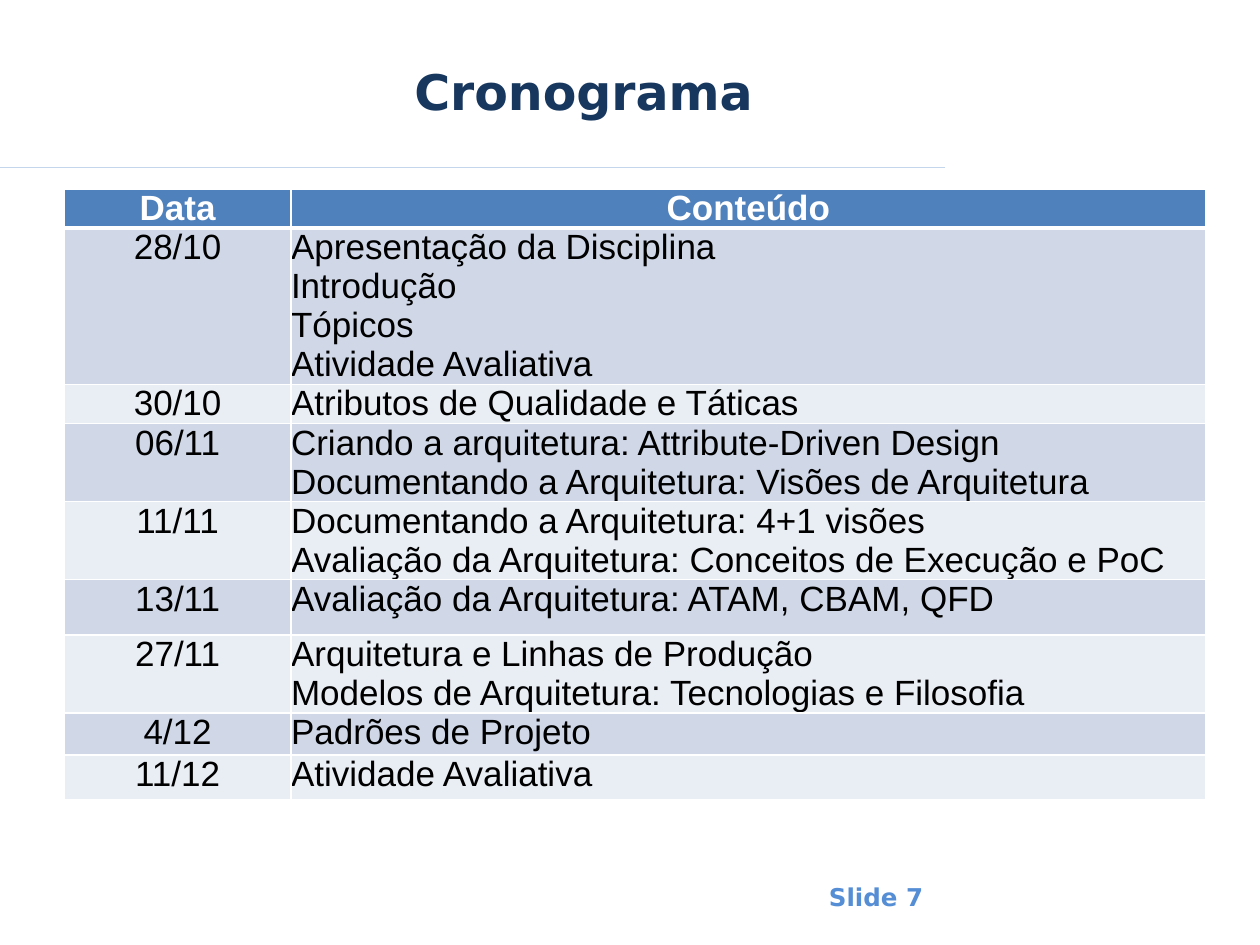
from typing import NamedTuple

from lxml.etree import SubElement as Sub
from pptx import Presentation
from pptx.dml.color import RGBColor as Rgb
from pptx.enum.shapes import MSO_CONNECTOR as Conn
from pptx.enum.text import MSO_ANCHOR as Anchor, PP_ALIGN as Align
from pptx.oxml import parse_xml
from pptx.oxml.ns import nsdecls, qn
from pptx.util import Inches, Pt

HEX = {"head": "4F81BD", "odd": "D0D8E8", "even": "E9EDF4", "white": "FFFFFF",
       "black": "000000", "title": "17375E", "page": "558ED5", "rule": "C4D6EB"}


class Label(NamedTuple):
    text: str
    box: tuple[float, float, float, float]
    size: int
    color: str


class Row(NamedTuple):
    date: str
    lines: list[str]
    high: float
    align: Align = Align.LEFT


LABELS = [
    Label("Slide 7", (6.48, 6.95, 1.41, 0.34), 14, "page"),
    Label("Cronograma", (3.19, 0.45, 6.69, 0.55), 28, "title"),
]
ROWS = [
    Row("Data", ["Conteúdo"], 0.22, Align.CENTER),
    Row("28/10", ["Apresentação da Disciplina", "Introdução", "Tópicos",
                  "Atividade Avaliativa"], 0.88, Align.JUSTIFY),
    Row("30/10", ["Atributos de Qualidade e Táticas"], 0.22, Align.JUSTIFY),
    Row("06/11", ["Criando a arquitetura: Attribute-Driven Design",
                  "Documentando a Arquitetura: Visões de Arquitetura"], 0.44),
    Row("11/11", ["Documentando a Arquitetura: 4+1 visões",
                  "Avaliação da Arquitetura: Conceitos de Execução e PoC"], 0.44),
    Row("13/11", ["Avaliação da Arquitetura: ATAM, CBAM, QFD"], 0.44),
    Row("27/11", ["Arquitetura e Linhas de Produção",
                  "Modelos de Arquitetura: Tecnologias e Filosofia"], 0.44),
    Row("4/12", ["Padrões de Projeto"], 0.33),
    Row("11/12", ["Atividade Avaliativa"], 0.36),
]
WIDTHS = [1.8, 7.26]
PITCH = Pt(22.3)


def style(font, color: str, **form) -> None:
    for key, val in form.items():
        setattr(font, key, val)
    font.color.rgb = Rgb.from_string(HEX[color])


def draw_label(slide, label: Label) -> None:
    box = slide.shapes.add_textbox(*map(Inches, label.box))
    frame = box.text_frame
    frame.word_wrap = True
    frame.vertical_anchor = Anchor.MIDDLE
    frame.text = label.text
    style(frame.paragraphs[0].runs[0].font, label.color,
          name="DejaVu Sans", size=Pt(label.size), bold=True)


def draw_rule(slide) -> None:
    line = slide.shapes.add_connector(
        Conn.STRAIGHT, 0, Inches(1.33), Inches(7.5), Inches(1.33))
    line.line.color.rgb = Rgb.from_string(HEX["rule"])
    line.line.width = Pt(0.75)
    Sub(line._element.spPr, qn("a:effectLst"))


def add_edges(cell, row: int) -> None:
    """White edges, thicker between the header and the body."""
    wide = {"L": 1, "R": 1, "T": 3 if row == 1 else 1, "B": 3 if row == 0 else 1}
    props = cell._tc.get_or_add_tcPr()
    for spot, (side, width) in enumerate(wide.items()):
        props.insert(spot, parse_xml(
            f'<a:ln{side} {nsdecls("a")} w="{Pt(width)}"><a:solidFill>'
            f'<a:srgbClr val="{HEX["white"]}"/></a:solidFill></a:ln{side}>'))


def fill_cell(cell, row: int, lines: list[str], align: Align) -> None:
    for side in ("left", "top", "right", "bottom"):
        setattr(cell, f"margin_{side}", 0)
    tone = "head" if row == 0 else "odd" if row % 2 else "even"
    cell.fill.solid()
    cell.fill.fore_color.rgb = Rgb.from_string(HEX[tone])
    cell.text = "\n".join(lines)
    for para in cell.text_frame.paragraphs:
        para.alignment = align
        para.line_spacing = PITCH
        style(para.runs[0].font, "black" if row else "white",
              name="Arial", size=Pt(20), bold=row == 0)
    add_edges(cell, row)


def draw_table(slide) -> None:
    frame = slide.shapes.add_table(
        len(ROWS), len(WIDTHS), *map(Inches, (0.51, 1.5, 9.06, 5.13)))
    table = frame.table
    for col, width in zip(table.columns, WIDTHS):
        col.width = Inches(width)
    for num, row in enumerate(ROWS):
        table.rows[num].height = Inches(row.high)
        fill_cell(table.cell(num, 0), num, [row.date], Align.CENTER)
        fill_cell(table.cell(num, 1), num, row.lines, row.align)


def main() -> None:
    deck = Presentation()
    deck.slide_width, deck.slide_height = Inches(10), Inches(7.5)
    slide = deck.slides.add_slide(deck.slide_layouts[6])
    # Rule, page number and title
    draw_rule(slide)
    for label in LABELS:
        draw_label(slide, label)
    # Schedule
    draw_table(slide)
    deck.save("out.pptx")


if __name__ == "__main__":
    main()
